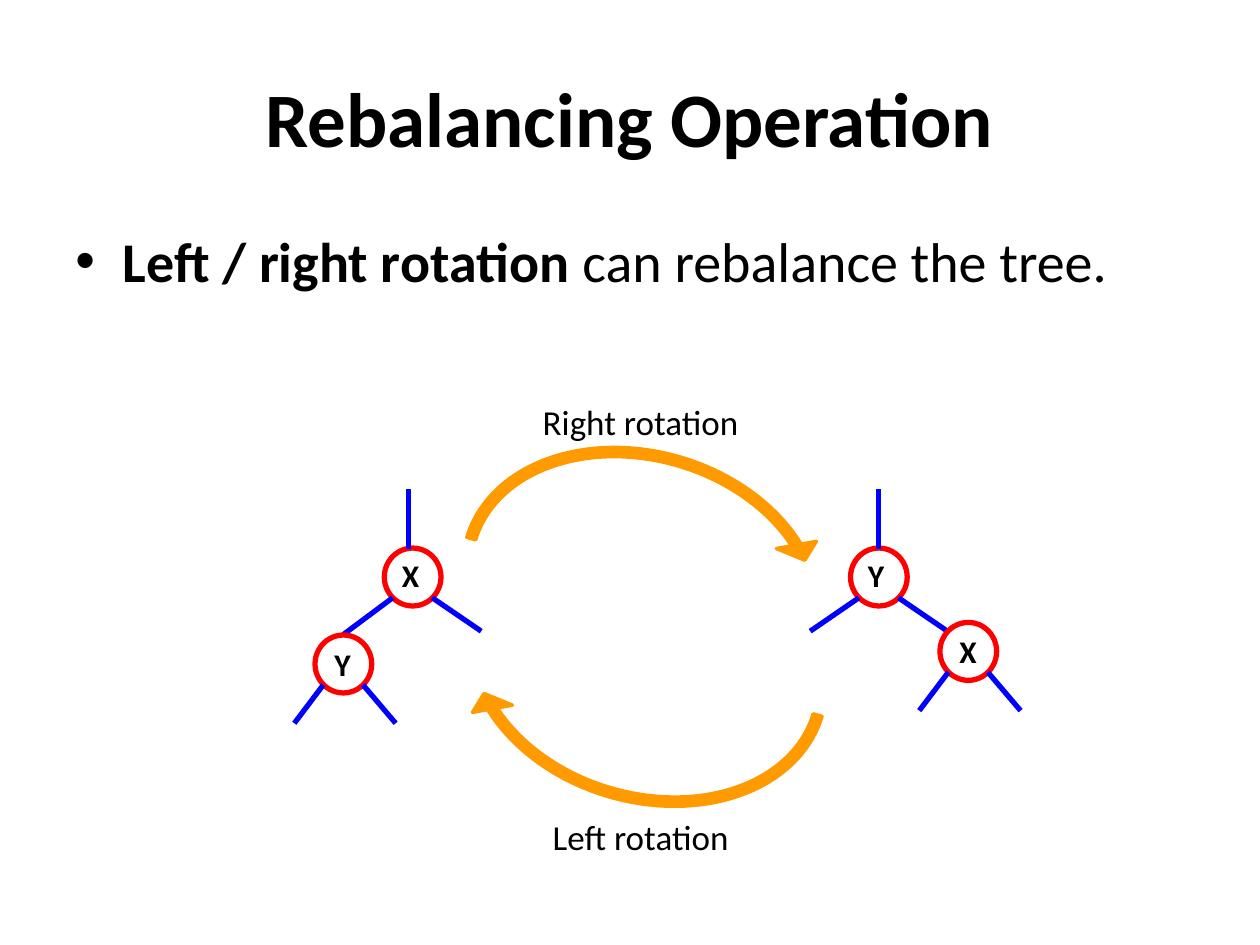
from lxml import etree
from pptx import Presentation
from pptx.dml.color import RGBColor
from pptx.enum.shapes import MSO_CONNECTOR, MSO_SHAPE
from pptx.enum.text import MSO_ANCHOR, PP_ALIGN
from pptx.oxml.ns import qn
from pptx.util import Pt

CENTER, LEFT = PP_ALIGN.CENTER, PP_ALIGN.LEFT
STRAIGHT = MSO_CONNECTOR.STRAIGHT
ELLIPSE, ARROW = MSO_SHAPE.OVAL, MSO_SHAPE.CIRCULAR_ARROW

THEME = {
    "font": "Calibri", "text": RGBColor(0, 0, 0), "node": RGBColor(255, 0, 0),
    "edge": RGBColor(0, 0, 255), "arrow": RGBColor(255, 154, 0),
    "title_size": 44, "body_size": 32, "label_size": 20, "node_size": 18,
    "line": 3, "arrow_line": 2,
}

# Content, all lengths in points
TITLE = "Rebalancing Operation"
BULLET = [("Left / right rotation", True), (" can rebalance the tree.", False)]
TREES = [
    {"root": ("X", 219.6, 313.2), "child": ("Y", 180, 362.9), "stem": 233.3,
     "branches": [(-23.8, 49.7), (55.4, 47.5)]},
    {"root": ("Y", 486, 313.2), "child": ("X", 537.1, 355.7), "stem": 501.8,
     "branches": [(-23, 47.5), (55.4, 47.5)]},
]
ROTATIONS = [  # label, label top, arrow left, arrow top, angle
    ("Right rotation", 218.2, 253.4, 249.1, 16.5),
    ("Left rotation", 455, 256.3, 291.6, 196.5),
]

# Geometry shared by both trees, relative to a node's top left corner
NODE_WIDTH, NODE_HEIGHT = 32.4, 33.1
FEET = [(4.8, 28.4), (27.4, 28.4)]
CHILD_BRANCHES = [(-11.8, 50.4), (46.1, 50.4)]
STEM_TOP, STEM_BOTTOM = 279.4, 313.9
ROOT_LABEL = (2.9, -6.5, 32.4)  # shift right, shift down, width
CHILD_LABEL = (4, -5.1, 23)
ARROW_ADJUSTMENTS = [0.03, 3.537, 196.431, 108.092, 0.066]


def style(span, size, bold=False):
    span.font.name = THEME["font"]
    span.font.size = Pt(size)
    span.font.bold = bold
    span.font.color.rgb = THEME["text"]


def add_label(slide, text, left, top, width, height, size, bold=False, align=LEFT):
    box = slide.shapes.add_textbox(Pt(left), Pt(top), Pt(width), Pt(height))
    frame = box.text_frame
    frame.word_wrap = True
    frame.margin_top = frame.margin_bottom = Pt(10.8)
    para = frame.paragraphs[0]
    para.text = text
    para.alignment = align
    style(para.runs[0], size, bold)


def add_edge(slide, start, end):
    edge = slide.shapes.add_connector(STRAIGHT, *map(Pt, start + end))
    edge.line.color.rgb = THEME["edge"]
    edge.line.width = Pt(THEME["line"])
    etree.SubElement(edge._element.spPr, qn("a:effectLst"))


def add_node(slide, node, branches, label_place):
    name, left, top = node
    circle = slide.shapes.add_shape(
        ELLIPSE, Pt(left), Pt(top), Pt(NODE_WIDTH), Pt(NODE_HEIGHT))
    circle.shadow.inherit = False
    circle.fill.background()
    circle.line.color.rgb = THEME["node"]
    circle.line.width = Pt(THEME["line"])
    for foot, tip in zip(FEET, branches):
        add_edge(slide, (left + foot[0], top + foot[1]),
                 (left + tip[0], top + tip[1]))
    shift_x, shift_y, width = label_place
    add_label(slide, name, left + shift_x, top + shift_y, width, 43.9,
              THEME["node_size"], bold=True)


def add_rotation(slide, text, label_top, left, top, angle):
    arrow = slide.shapes.add_shape(ARROW, Pt(left), Pt(top), Pt(226.8), Pt(175.7))
    arrow.rotation = angle
    for index, value in enumerate(ARROW_ADJUSTMENTS):
        arrow.adjustments[index] = value
    arrow.shadow.inherit = False
    arrow.fill.solid()
    arrow.fill.fore_color.rgb = THEME["arrow"]
    arrow.line.color.rgb = THEME["arrow"]
    arrow.line.width = Pt(THEME["arrow_line"])
    add_label(slide, text, 259.2, label_top, 213.8, 46.1,
              THEME["label_size"], align=CENTER)


def main():
    deck = Presentation()
    deck.slide_width, deck.slide_height = Pt(720), Pt(540)
    slide = deck.slides.add_slide(deck.slide_layouts[5])

    # Title
    title = slide.shapes.title
    title.left, title.top, title.width, title.height = map(Pt, (36, 21.6, 648, 90))
    title.text_frame.text = TITLE
    title.text_frame.vertical_anchor = MSO_ANCHOR.MIDDLE
    para = title.text_frame.paragraphs[0]
    para.alignment = CENTER
    style(para.runs[0], THEME["title_size"], bold=True)

    # Bulleted statement
    body = slide.shapes.add_textbox(Pt(36), Pt(126), Pt(648), Pt(172))
    body.text_frame.word_wrap = True
    para = body.text_frame.paragraphs[0]
    properties = para._p.get_or_add_pPr()
    properties.set("marL", str(Pt(27)))
    properties.set("indent", str(-Pt(27)))
    etree.SubElement(properties, qn("a:buFont"), typeface="Arial")
    etree.SubElement(properties, qn("a:buChar"), char="•")
    for text, bold in BULLET:
        span = para.add_run()
        span.text = text
        style(span, THEME["body_size"], bold)

    # Trees before and after the rotation
    for tree in TREES:
        add_node(slide, tree["root"], tree["branches"], ROOT_LABEL)
        add_node(slide, tree["child"], CHILD_BRANCHES, CHILD_LABEL)
        add_edge(slide, (tree["stem"], STEM_BOTTOM), (tree["stem"], STEM_TOP))

    # Rotation arrows with their labels
    for rotation in ROTATIONS:
        add_rotation(slide, *rotation)

    deck.save("out.pptx")


if __name__ == "__main__":
    main()
